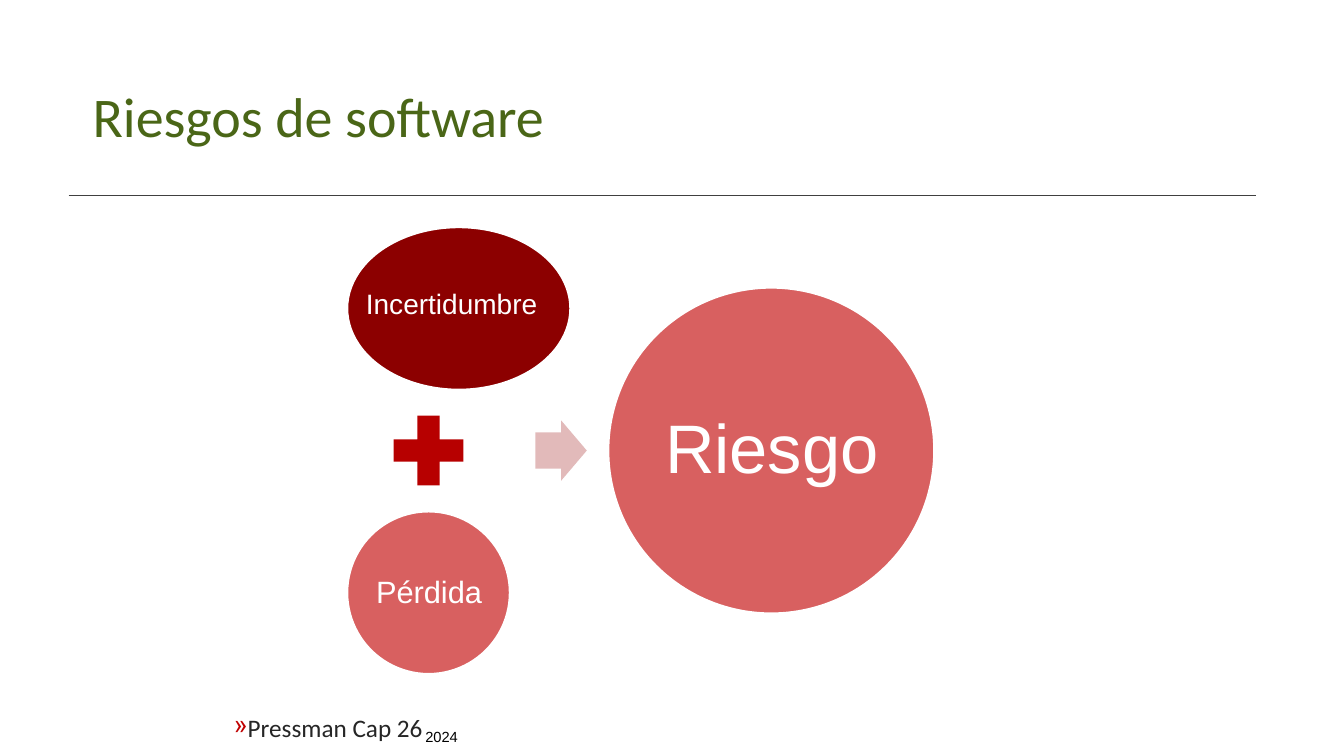
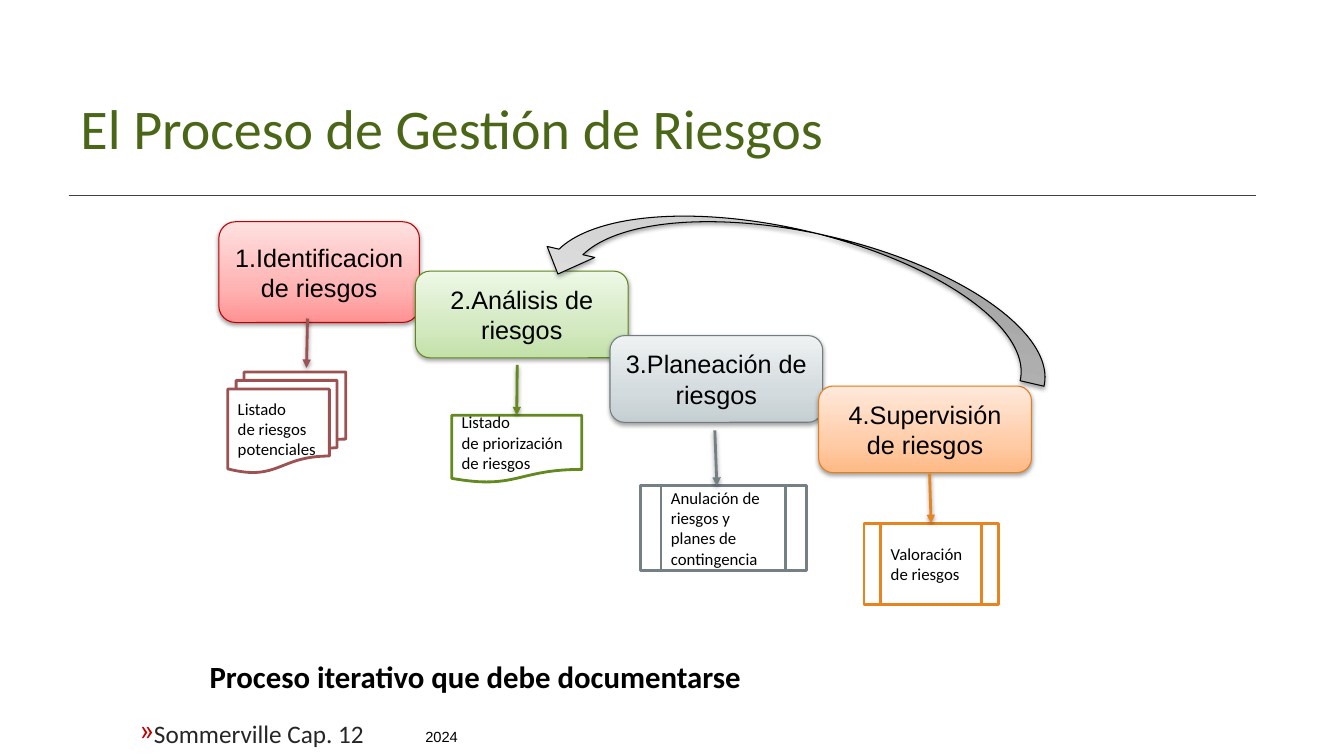
from copy import deepcopy

from pptx import Presentation
from pptx.dml.color import RGBColor
from pptx.enum.shapes import MSO_CONNECTOR, MSO_SHAPE
from pptx.enum.text import MSO_ANCHOR, PP_ALIGN
from pptx.oxml import parse_xml
from pptx.oxml.ns import nsdecls, qn
from pptx.oxml.xmlchemy import OxmlElement
from pptx.util import Pt

PX = 9144  # 100 px to the inch
WHITE, BLACK, INK = "FFFFFF", "000000", "262626"
TITLE_GREEN, BULLET_RED, RULE_GRAY = "4A6617", "C00000", "404040"
DARK_RED, PLUS_RED, ROSE, PALE_ROSE = "8C0000", "B70000", "D86060", "E2BABA"
SHADOW = (
    f'<a:outerShdw {nsdecls("a")} blurRad="40000" dist="20000" dir="5400000" rotWithShape="0">'
    '<a:srgbClr val="000000"><a:alpha val="37000"/></a:srgbClr></a:outerShdw>'
)
color = RGBColor.from_string


def place(page, kind, box, fill=None, line=None, width=0.75):
    """Add a shape, or a text box if kind is None; three fill colours make a shaded gradient."""
    box = [length * PX for length in box]
    if kind is None:
        return page.shapes.add_textbox(*box)
    shape = page.shapes.add_shape(kind, *box)
    shape.shadow.inherit = False
    if isinstance(fill, str):
        shape.fill.solid()
        shape.fill.fore_color.rgb = color(fill)
    else:
        shape.fill.gradient()
        shape.fill.gradient_angle = 90
        stops = shape._element.spPr.find(".//" + qn("a:gsLst"))
        stops.insert(1, deepcopy(stops[0]))
        for stop, position, tone in zip(shape.fill.gradient_stops, (0, 0.35, 1), fill):
            stop.position = position
            stop.color.rgb = color(tone)
        shape._element.spPr.find(qn("a:effectLst")).append(parse_xml(SHADOW))
    if line:
        shape.line.color.rgb = color(line)
        shape.line.width = Pt(width)
    else:
        shape.line.fill.background()
    return shape


def write(shape, paragraphs, size, ink=BLACK, font="Calibri", align=PP_ALIGN.LEFT,
          anchor=MSO_ANCHOR.MIDDLE, spacing=1, inset=(10, 5), bold=False, bullet=None):
    """Fill a shape with paragraphs; a newline within one is a line break."""
    frame = shape.text_frame
    frame.word_wrap = True
    frame.vertical_anchor = anchor
    frame.margin_left = frame.margin_right = inset[0] * PX
    frame.margin_top = frame.margin_bottom = inset[1] * PX
    for number, text in enumerate(paragraphs):
        para = frame.add_paragraph() if number else frame.paragraphs[0]
        para.alignment = align
        para.line_spacing = spacing
        if bullet:
            properties = para._p.get_or_add_pPr()
            properties.set("marL", str(8 * PX))
            properties.set("indent", str(-12 * PX))
            tint = OxmlElement("a:buClr")
            tint.append(OxmlElement("a:srgbClr"))
            tint[0].set("val", BULLET_RED)
            mark = OxmlElement("a:buChar")
            mark.set("char", bullet)
            properties.extend([tint, mark])
        for row, words in enumerate(text.split("\n")):
            if row:
                para.add_line_break()
            span = para.add_run()
            span.text = words
            span.font.name = font
            span.font.size = Pt(size)
            span.font.bold = bold
            span.font.color.rgb = color(ink)


deck = Presentation()
deck.slide_width, deck.slide_height = 1333 * PX, 750 * PX

# What both slides share: rule, year, title and source
pages = []
for title, title_at, source, source_at in [
    ("Riesgos de software", (82, 50), "Pressman Cap 26", (222, 706)),
    ("El Proceso de Gestión de Riesgos", (70, 62), "Sommerville Cap. 12", (129, 712)),
]:
    page = deck.slides.add_slide(deck.slide_layouts[6])
    pages.append(page)
    rule = page.shapes.add_connector(MSO_CONNECTOR.STRAIGHT, 68 * PX, 194 * PX, 1246 * PX, 194 * PX)
    rule.line.color.rgb = color(RULE_GRAY)
    rule.line.width = Pt(0.75)
    rule._element.spPr.append(OxmlElement("a:effectLst"))
    write(place(page, None, (412, 717, 90, 28)), ["2024"], 10.5, font="Arial", anchor=MSO_ANCHOR.TOP)
    write(place(page, None, (*title_at, 886, 139)), [title], 40, TITLE_GREEN, spacing=0.85)
    write(place(page, None, (*source_at, 382, 42)), [source], 18, INK,
          anchor=MSO_ANCHOR.TOP, spacing=0.85, bullet="»")
risk_page, process_page = pages

# Slide 1: uncertainty plus loss gives risk
for word, circle, label, fill, size, inset in [
    ("Incertidumbre", (344, 225, 222, 162), (341, 245, 214, 115), DARK_RED, 20, 3),
    ("Pérdida", (344, 507, 162, 162), (368, 531, 115, 115), ROSE, 22, 3),
    ("Riesgo", (603, 285, 324, 324), (651, 333, 229, 229), ROSE, 49, 7),
]:
    place(risk_page, MSO_SHAPE.OVAL, circle, fill, WHITE, 2)
    write(place(risk_page, None, label), [word], size, WHITE, "Arial", PP_ALIGN.CENTER,
          spacing=0.9, inset=(inset, inset))
place(risk_page, MSO_SHAPE.MATH_PLUS, (378, 400, 94, 94), PLUS_RED)
result_arrow = place(risk_page, MSO_SHAPE.RIGHT_ARROW, (531, 417, 51, 60), PALE_ROSE)
result_arrow.adjustments[0] = 0.6

# Slide 2: four steps, each with an arrow down to what it yields
write(place(process_page, None, (198, 648, 875, 81)), ["Proceso iterativo que debe documentarse"],
      22, anchor=MSO_ANCHOR.TOP, bold=True)
steps = [
    ("1.Identificacion de riesgos", (217, 220, 199, 100), ("FF9192", "FFB4B4", "FFE0E0"), "BF0000",
     MSO_SHAPE.FLOWCHART_MULTIDOCUMENT, (226, 369, 117, 100), "9C5252",
     ["Listado\nde riesgos\npotenciales"], (305, 316, 304, 365)),
    ("2.Análisis de riesgos", (412, 269, 211, 86), ("C3E1A8", "D3E9C1", "EDF8E6"), "60871B",
     MSO_SHAPE.FLOWCHART_DOCUMENT, (448, 412, 129, 67), "63891F",
     ["Listado\nde priorización\nde riesgos"], (513, 362, 513, 411)),
    ("3.Planeación de riesgos", (605, 333, 211, 86), ("C5CED1", "D4DBDE", "EEF2F2"), "717D81",
     MSO_SHAPE.FLOWCHART_PREDEFINED_PROCESS, (635, 482, 165, 84), "758085",
     ["Anulación de\nriesgos y", "planes de", "contingencia"], (709, 427, 711, 482)),
    ("4.Supervisión de riesgos", (812, 383, 211, 86), ("FFB983", "FFCCA8", "FFE9DB"), "E47F1C",
     MSO_SHAPE.FLOWCHART_PREDEFINED_PROCESS, (857, 519, 133, 81), "E68422",
     ["Valoración\nde riesgos"], (922, 470, 924, 516)),
]
for name, step_box, shades, edge, kind, output_box, tone, output_text, ends in steps:
    step = place(process_page, MSO_SHAPE.ROUNDED_RECTANGLE, step_box, shades, edge)
    write(step, [name], 18, font="Arial", align=PP_ALIGN.CENTER)
    output = place(process_page, kind, output_box, WHITE, tone, 2)
    write(output, output_text, 12)
    arrow = process_page.shapes.add_connector(MSO_CONNECTOR.STRAIGHT, *[end * PX for end in ends])
    if abs(ends[2] - output_box[0] - output_box[2] / 2) < 2:
        arrow.end_connect(output, 0)
    arrow.line.color.rgb = color(tone)
    arrow.line.width = Pt(2)
    head = OxmlElement("a:tailEnd")
    head.set("type", "triangle")
    arrow.line._get_or_add_ln().append(head)
    effects = OxmlElement("a:effectLst")
    effects.append(parse_xml(SHADOW))
    arrow._element.spPr.append(effects)

return_arrow = place(process_page, MSO_SHAPE.CURVED_UP_ARROW, (534, 229, 519, 97),
                     ("BABABA", "CFCFCF", "EDEDED"), BLACK)
return_arrow.rotation = 193

deck.save("out.pptx")
